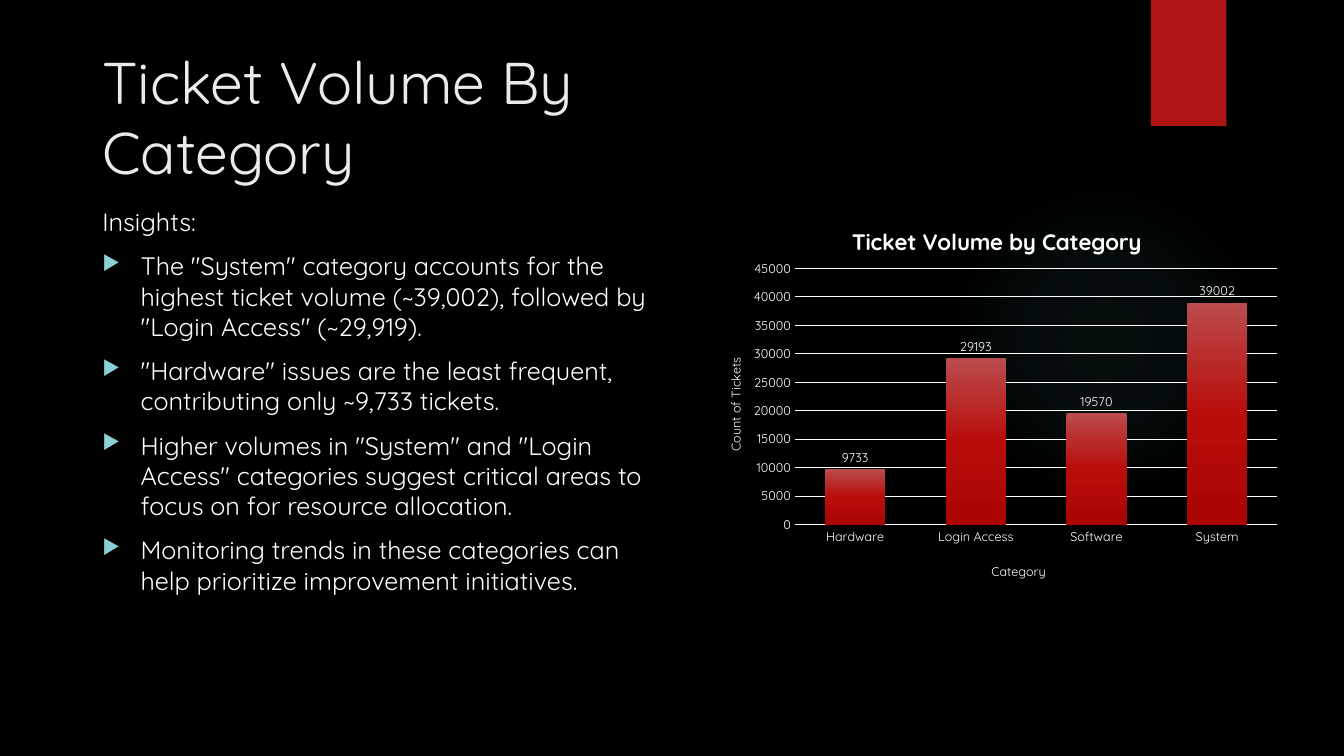
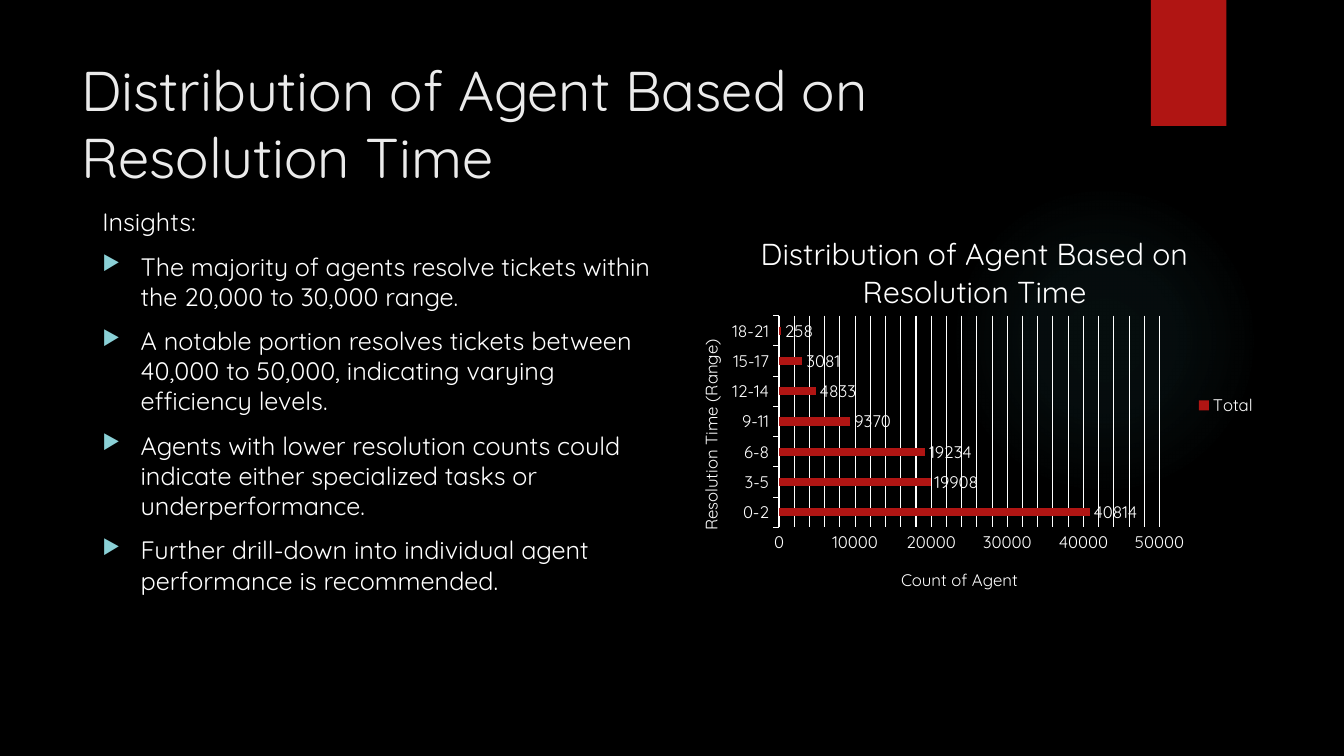
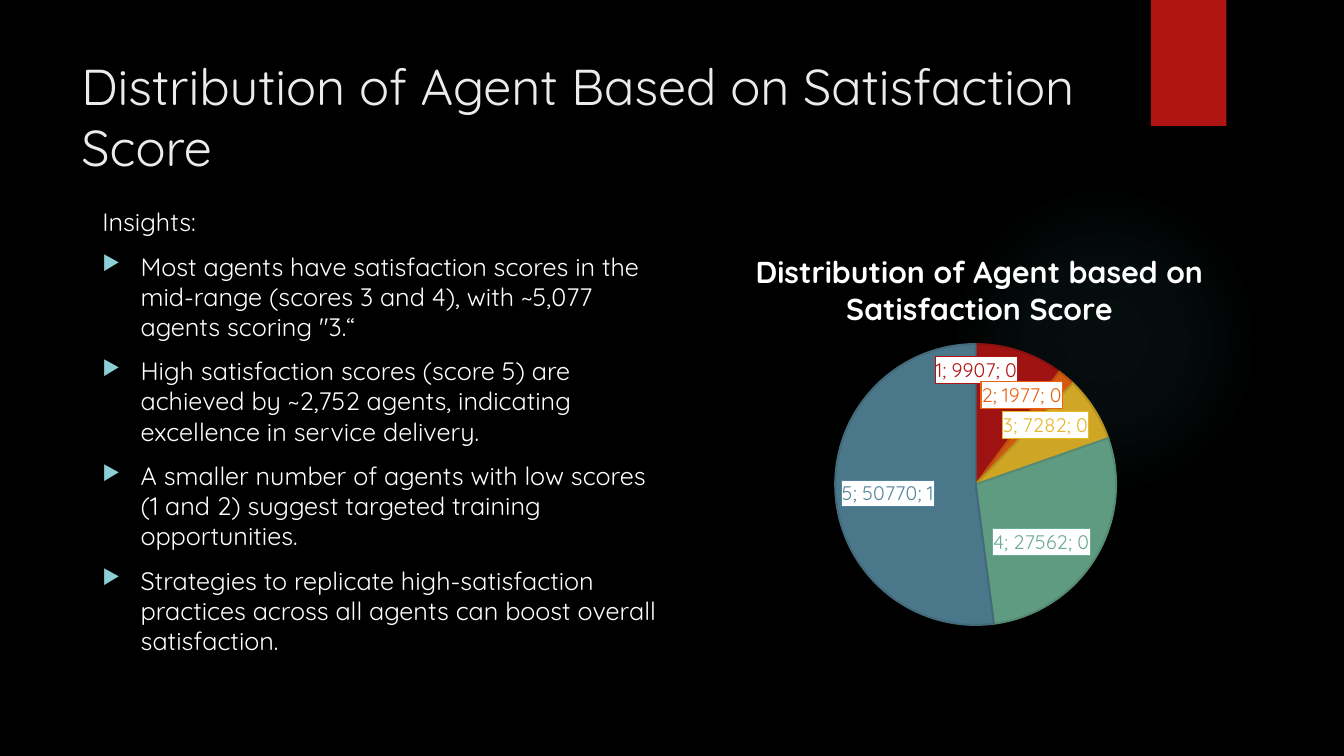
from dataclasses import dataclass
from typing import Any, NamedTuple, Optional

import pptx
import pptx.chart.data
import pptx.dml.color
import pptx.enum.chart
import pptx.enum.shapes
import pptx.enum.text
import pptx.oxml
import pptx.oxml.ns
import pptx.util

COLUMNS, ROWS = 160, 90
CELL = pptx.util.Inches(1) // 12
NAMESPACES = pptx.oxml.ns.nsdecls("a", "c")
Kind = pptx.enum.chart.XL_CHART_TYPE
Tick = pptx.enum.chart.XL_TICK_MARK


@dataclass(frozen=True)
class Theme:
    font: str = "Quicksand"
    background: str = "000000"
    heading: str = "EBEBEB"
    text: str = "FFFFFF"
    accent: str = "B01513"
    bullet: str = "8AD0D6"
    glow: str = "50B9C1"
    column: tuple = ("BB4C4C", "B80D0B", "AA0503")
    slices: tuple = ("B01513", "EA6312", "E6B729", "6AAC90", "54849A")
    body_size: float = 18
    label_size: float = 14
    chart_size: float = 10


THEME = Theme()


class Area(NamedTuple):
    column: float
    row: float
    wide: float
    tall: float

    def lengths(self) -> list[int]:
        return [round(cells * CELL) for cells in self]


class Stop(NamedTuple):
    percent: float
    colour: str
    opacity: float = 100


class Share(NamedTuple):
    x: float
    y: float
    w: Optional[float] = None
    h: Optional[float] = None


@dataclass(frozen=True)
class AxisStyle:
    title: str
    title_at: Share
    tick: Any
    vertical: bool = False
    line_width: float = 0


@dataclass(frozen=True)
class BarStyle:
    category: AxisStyle
    value: AxisStyle
    size: float
    maximum: float
    major: float
    gap: int
    overlap: int
    minor: Optional[float] = None
    legend: bool = False
    gradient: bool = False


@dataclass(frozen=True)
class ChartPlan:
    kind: Any
    area: Area
    title: str
    title_at: Share
    title_size: float
    title_bold: bool
    plot_at: Share
    series: str
    values: dict[str, int]
    bars: Optional[BarStyle] = None


@dataclass(frozen=True)
class PagePlan:
    title: str
    title_area: Area
    title_size: float
    body_area: Area
    insights: tuple[str, ...]
    chart: ChartPlan


def rgb(colour: str) -> pptx.dml.color.RGBColor:
    return pptx.dml.color.RGBColor.from_string(colour)


def xml(markup: str) -> Any:
    tag, rest = markup.split(">", 1)
    slash = "/" if tag.endswith("/") else ""
    return pptx.oxml.parse_xml(f"{tag.removesuffix('/')} {NAMESPACES}{slash}>{rest}")


def style_font(font: Any, *, size: float, colour: str = THEME.text, bold: bool = False) -> None:
    font.name = THEME.font
    font.size = pptx.util.Pt(size)
    font.bold = bold
    font.color.rgb = rgb(colour)


def write(para: Any, text: str, *, size: float, colour: str = THEME.text,
          bold: bool = False, before: float = 0) -> None:
    span = para.add_run()
    span.text = text
    style_font(span.font, size=size, colour=colour, bold=bold)
    para.space_before = pptx.util.Pt(before)


def gradient(stops: list[Stop], direction: str) -> Any:
    marks = "".join(
        f'<a:gs pos="{stop.percent * 1000}"><a:srgbClr val="{stop.colour}">'
        f'<a:alpha val="{stop.opacity * 1000}"/></a:srgbClr></a:gs>'
        for stop in stops
    )
    return xml(f"<a:gradFill><a:gsLst>{marks}</a:gsLst>{direction}</a:gradFill>")


def swap_solid(properties: Any, fill: Any) -> None:
    solid = properties.xpath("./a:solidFill")[0]
    properties.replace(solid, fill)


def add_plain_shape(page: Any, preset: Any, area: Area, colour: str) -> Any:
    shape = page.shapes.add_shape(preset, *area.lengths())
    shape.shadow.inherit = False
    shape.fill.solid()
    shape.fill.fore_color.rgb = rgb(colour)
    shape.line.fill.background()
    return shape


def add_decoration(page: Any) -> None:
    presets = pptx.enum.shapes.MSO_SHAPE
    glow = add_plain_shape(page, presets.OVAL, Area(113, 22, 37, 37), THEME.glow)
    stops = [Stop(percent, THEME.glow, opacity) for percent, opacity in ((0, 7), (36, 6), (69, 0))]
    centre = '<a:path path="circle"><a:fillToRect l="50000" t="50000" r="50000" b="50000"/></a:path>'
    swap_solid(glow.element.spPr, gradient(stops, centre))
    add_plain_shape(page, presets.RECTANGLE, Area(137, 0, 9, 15), THEME.accent)


def set_title(page: Any, plan: PagePlan) -> None:
    title = page.shapes.title
    title.left, title.top, title.width, title.height = plan.title_area.lengths()
    frame = title.text_frame
    frame.word_wrap = True
    frame.auto_size = pptx.enum.text.MSO_AUTO_SIZE.NONE
    frame.vertical_anchor = pptx.enum.text.MSO_ANCHOR.TOP
    para = frame.paragraphs[0]
    para.alignment = pptx.enum.text.PP_ALIGN.LEFT
    write(para, plan.title, size=plan.title_size, colour=THEME.heading)


def add_bullet(para: Any) -> None:
    indent = pptx.util.Inches(0.38)
    properties = para._p.get_or_add_pPr()
    properties.set("marL", str(indent))
    properties.set("indent", str(-indent))
    for markup in (
        f'<a:buClr><a:srgbClr val="{THEME.bullet}"/></a:buClr>',
        '<a:buSzPct val="80000"/>',
        '<a:buChar char="▶"/>',
    ):
        properties.append(xml(markup))


def add_insights(page: Any, plan: PagePlan) -> None:
    box = page.shapes.add_textbox(*plan.body_area.lengths())
    frame = box.text_frame
    frame.word_wrap = True
    write(frame.paragraphs[0], "Insights:", size=THEME.body_size, before=10)
    for insight in plan.insights:
        para = frame.add_paragraph()
        write(para, insight, size=THEME.body_size, before=10)
        add_bullet(para)


def place(element: Any, share: Share) -> None:
    for old in element.xpath("./c:layout"):
        element.remove(old)
    modes = '<c:xMode val="edge"/><c:yMode val="edge"/>'
    sizes = "".join(f'<c:{name} val="{value}"/>' for name, value in share._asdict().items()
                    if value is not None)
    inner = '<c:layoutTarget val="inner"/>' if share.w is not None else ""
    layout = xml(f"<c:layout><c:manualLayout>{inner}{modes}{sizes}</c:manualLayout></c:layout>")
    element.insert(len(element.xpath("./c:tx")), layout)


def style_axis(axis: Any, style: AxisStyle, size: float) -> None:
    style_font(axis.tick_labels.font, size=size)
    axis.major_tick_mark = style.tick
    axis.minor_tick_mark = Tick.NONE
    if style.line_width:
        style_line(axis.format.line, style.line_width)
    else:
        axis.format.line.fill.background()
    title = axis.axis_title
    write(title.text_frame.paragraphs[0], style.title, size=size)
    if style.vertical:
        body = title.element.xpath(".//a:bodyPr")[0]
        body.set("rot", "-5400000")
        body.set("vert", "horz")
    place(title.element, style.title_at)


def style_line(line: Any, width: float, colour: str = THEME.text) -> None:
    line.color.rgb = rgb(colour)
    line.width = pptx.util.Pt(width)


def style_bars(chart: Any, style: BarStyle) -> None:
    plot = chart.plots[0]
    plot.gap_width, plot.overlap = style.gap, style.overlap
    plot.vary_by_categories = False
    style_axis(chart.category_axis, style.category, style.size)
    axis = chart.value_axis
    style_axis(axis, style.value, style.size)
    axis.minimum_scale, axis.maximum_scale = 0, style.maximum
    axis.major_unit = style.major
    axis.tick_labels.number_format = "0"
    axis.tick_labels.number_format_is_linked = False
    axis.has_major_gridlines = True
    style_line(axis.major_gridlines.format.line, 0.75)
    if style.minor:
        axis.minor_unit = style.minor
        axis.has_minor_gridlines = True
        chart.element.xpath(".//c:valAx/c:minorGridlines")[0].append(xml(
            f'<c:spPr><a:ln w="9525"><a:solidFill><a:srgbClr val="{THEME.text}"/>'
            "</a:solidFill></a:ln></c:spPr>"
        ))
    series = plot.series[0]
    series.format.fill.solid()
    series.format.fill.fore_color.rgb = rgb(THEME.accent)
    if style.gradient:
        stops = [Stop(50 * step, colour) for step, colour in enumerate(THEME.column)]
        swap_solid(chart.element.xpath(".//c:ser/c:spPr")[0],
                   gradient(stops, '<a:lin ang="5400000" scaled="0"/>'))
    labels = series.data_labels
    labels.show_value = True
    labels.number_format = "0"
    labels.number_format_is_linked = False
    labels.position = pptx.enum.chart.XL_LABEL_POSITION.OUTSIDE_END
    style_font(labels.font, size=style.size)
    chart.has_legend = style.legend
    if style.legend:
        chart.legend.position = pptx.enum.chart.XL_LEGEND_POSITION.RIGHT
        chart.legend.include_in_layout = False
        style_font(chart.legend.font, size=style.size)


def darken(colour: str) -> str:
    return "".join(f"{round(part * 0.8):02X}" for part in rgb(colour))


def style_slices(chart: Any) -> None:
    chart.has_legend = False
    flags = ('<c:dLblPos val="inEnd"/><c:showLegendKey val="0"/><c:showVal val="1"/>'
             '<c:showCatName val="1"/><c:showSerName val="0"/><c:showPercent val="1"/>'
             '<c:showBubbleSize val="0"/><c:separator>; </c:separator>')
    labels = ""
    for index, colour in enumerate(THEME.slices):
        point = chart.plots[0].series[0].points[index]
        point.format.fill.solid()
        point.format.fill.fore_color.rgb = rgb(colour)
        style_line(point.format.line, 1.5, darken(colour))
        ink = f'<a:solidFill><a:srgbClr val="{colour}"/></a:solidFill>'
        labels += (
            f'<c:dLbl><c:idx val="{index}"/><c:numFmt formatCode="0" sourceLinked="0"/>'
            f'<c:spPr><a:solidFill><a:srgbClr val="{THEME.text}"/></a:solidFill>'
            f'<a:ln w="9525">{ink}</a:ln></c:spPr>'
            f'<c:txPr><a:bodyPr/><a:p><a:pPr><a:defRPr sz="{THEME.label_size * 100}" b="0">{ink}'
            f'<a:latin typeface="{THEME.font}"/></a:defRPr></a:pPr></a:p></c:txPr>{flags}</c:dLbl>'
        )
    for tint in chart.element.xpath(".//c:dPt/c:spPr/a:solidFill/a:srgbClr"):
        tint.append(xml('<a:alpha val="90000"/>'))
    categories = chart.element.xpath(".//c:ser/c:cat")[0]
    categories.addprevious(xml(f"<c:dLbls>{labels}{flags}</c:dLbls>"))


def add_chart(page: Any, plan: ChartPlan) -> None:
    data = pptx.chart.data.CategoryChartData(number_format="0")
    data.categories = list(plan.values)
    data.add_series(plan.series, list(plan.values.values()))
    chart = page.shapes.add_chart(plan.kind, *plan.area.lengths(), data).chart
    style_font(chart.font, size=THEME.chart_size)
    chart.has_title = True
    title = chart.chart_title
    write(title.text_frame.paragraphs[0], plan.title, size=plan.title_size, bold=plan.title_bold)
    place(title.element, plan.title_at)
    if plan.bars:
        style_bars(chart, plan.bars)
    else:
        style_slices(chart)
    plot_area = chart.element.xpath("./c:chart/c:plotArea")[0]
    place(plot_area, plan.plot_at)
    clear = "<c:spPr><a:noFill/><a:ln><a:noFill/></a:ln></c:spPr>"
    plot_area.append(xml(clear))
    chart.element.xpath("./c:chart")[0].addnext(xml(clear))


PAGES = (
    PagePlan(
        "Ticket Volume By Category", Area(11, 4.8, 82.5, 12.4), 42, Area(11, 24, 69, 47),
        (
            'The "System" category accounts for the highest ticket volume (~39,002), followed by "Login Access" (~29,919).',
            '"Hardware" issues are the least frequent, contributing only ~9,733 tickets.',
            'Higher volumes in "System" and "Login Access" categories suggest critical areas to focus on for resource allocation.',
            "Monitoring trends in these categories can help prioritize improvement initiatives.",
        ),
        ChartPlan(
            Kind.COLUMN_CLUSTERED, Area(83.4, 24, 70.1, 46.9), "Ticket Volume by Category",
            Share(0.25, 0.05), 16, True, Share(0.16, 0.17, 0.82, 0.65), "Series 1",
            {"Hardware": 9733, "Login Access": 29193, "Software": 19570, "System": 39002},
            BarStyle(
                AxisStyle("Category", Share(0.49, 0.91), Tick.NONE, line_width=1),
                AxisStyle("Count of Tickets", Share(0.04, 0.39), Tick.NONE, vertical=True),
                size=9, maximum=45000, major=5000, gap=100, overlap=-24, gradient=True,
            ),
        ),
    ),
    PagePlan(
        "Distribution of Agent Based on Resolution Time", Area(8.5, 6, 123.5, 18.4), 40,
        Area(11, 24, 69, 57),
        (
            "The majority of agents resolve tickets within the 20,000 to 30,000 range.",
            "A notable portion resolves tickets between 40,000 to 50,000, indicating varying efficiency levels.",
            "Agents with lower resolution counts could indicate either specialized tasks or underperformance.",
            "Further drill-down into individual agent performance is recommended.",
        ),
        ChartPlan(
            Kind.BAR_CLUSTERED, Area(80, 24, 70.8, 48.5),
            "Distribution of Agent Based on Resolution Time",
            Share(0.14, 0.06), 21.6, False, Share(0.18, 0.28, 0.64, 0.52), "Total",
            {"0-2": 40814, "3-5": 19908, "6-8": 19234, "9-11": 9370,
             "12-14": 4833, "15-17": 3081, "18-21": 258},
            BarStyle(
                AxisStyle("Resolution Time (Range)", Share(0.04, 0.33), Tick.OUTSIDE,
                          vertical=True, line_width=0.75),
                AxisStyle("Count of Agent", Share(0.38, 0.89), Tick.NONE),
                size=12, maximum=50000, major=10000, gap=269, overlap=-50,
                minor=2000, legend=True,
            ),
        ),
    ),
    PagePlan(
        "Distribution of Agent Based on Satisfaction Score", Area(8.5, 6, 123.5, 18.4), 36,
        Area(11, 24, 69, 57),
        (
            'Most agents have satisfaction scores in the mid-range (scores 3 and 4), with ~5,077 agents scoring "3.“',
            "High satisfaction scores (score 5) are achieved by ~2,752 agents, indicating excellence in service delivery.",
            "A smaller number of agents with low scores (1 and 2) suggest targeted training opportunities.",
            "Strategies to replicate high-satisfaction practices across all agents can boost overall satisfaction.",
        ),
        ChartPlan(
            Kind.PIE, Area(80, 26.5, 71.6, 49.9),
            "Distribution of Agent based on Satisfaction Score",
            Share(0.13, 0.05), 21.6, True, Share(0.27, 0.29, 0.47, 0.67), "Series 1",
            {"1": 9907, "2": 1977, "3": 7282, "4": 27562, "5": 50770},
        ),
    ),
)


def main() -> None:
    deck = pptx.Presentation()
    deck.slide_width, deck.slide_height = COLUMNS * CELL, ROWS * CELL
    background = deck.slide_master.background.fill
    background.solid()
    background.fore_color.rgb = rgb(THEME.background)
    for plan in PAGES:
        page = deck.slides.add_slide(deck.slide_layouts.get_by_name("Title Only"))
        add_decoration(page)
        set_title(page, plan)
        add_insights(page, plan)
        add_chart(page, plan.chart)
    deck.save("out.pptx")


if __name__ == "__main__":
    main()
